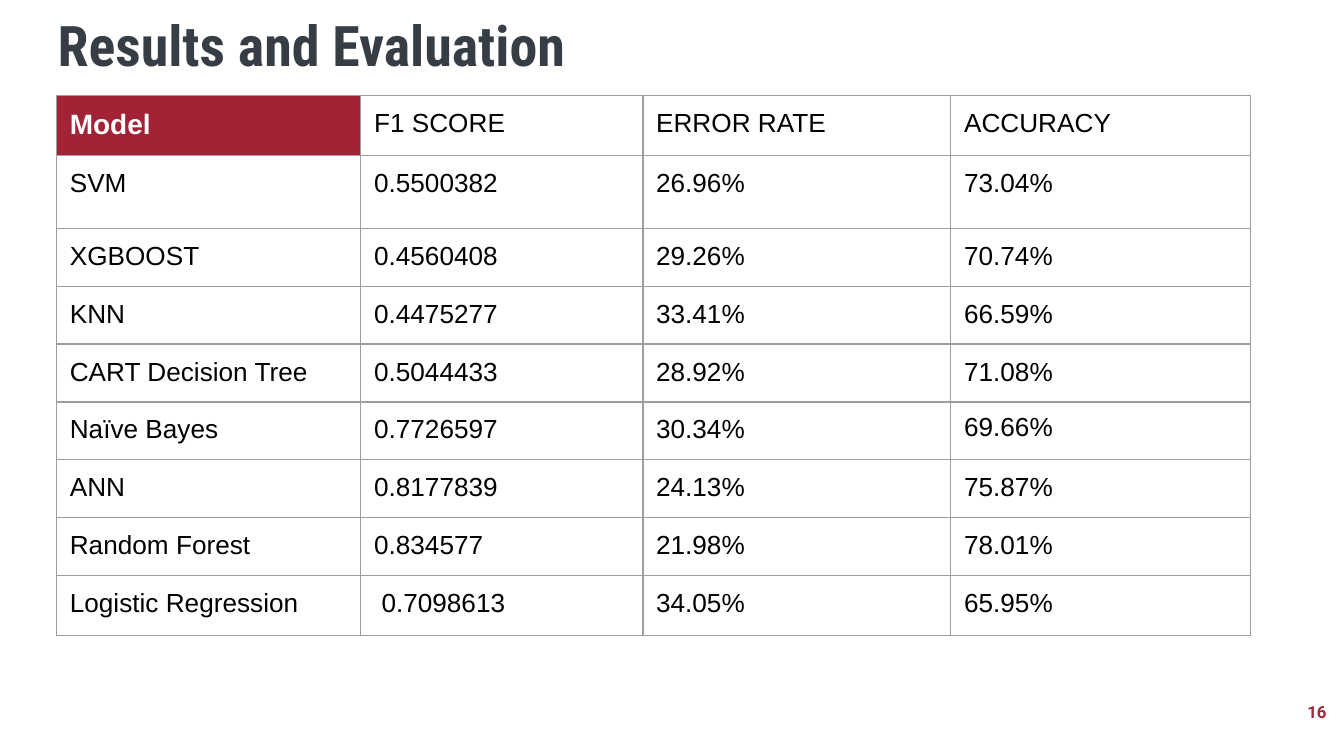
from dataclasses import dataclass

from lxml.etree import SubElement
from pptx import Presentation
from pptx.dml.color import RGBColor
from pptx.enum.text import MSO_ANCHOR, PP_ALIGN
from pptx.oxml.ns import qn
from pptx.util import Cm, Pt

CELL_MARGIN = 0.25
COLUMN_WIDTHS = [5.75, 5.33, 5.82, 5.66]
ROW_HEIGHTS = [1.07, 1.37, *[1.06] * 6, 1.14]
HEADERS = ["Model", "F1 SCORE", "ERROR RATE", "ACCURACY"]


@dataclass
class Style:
    size: float
    color: str
    font: str = "Arial"
    bold: bool = False


@dataclass
class Result:
    model: str
    f1_score: str
    error_rate: str
    accuracy: str


RESULTS = [
    Result("SVM", "0.5500382", "26.96%", "73.04%"),
    Result("XGBOOST", "0.4560408", "29.26%", "70.74%"),
    Result("KNN", "0.4475277", "33.41%", "66.59%"),
    Result("CART Decision Tree", "0.5044433", "28.92%", "71.08%"),
    Result("Naïve Bayes", "0.7726597", "30.34%", "69.66%"),
    Result("ANN", "0.8177839", "24.13%", "75.87%"),
    Result("Random Forest", "0.834577", "21.98%", "78.01%"),
    Result("Logistic Regression", "0.7098613", "34.05%", "65.95%"),
]
BODY = Style(14, "000000")
HEADING = Style(15, "FFFFFF", bold=True)
TITLE = Style(30, "363D45", "Roboto Condensed", True)
PAGE_NUMBER = Style(9, "A32537", "Roboto", True)


def rgb(color: str) -> RGBColor:
    return RGBColor.from_string(color)


def write(text_frame, text: str, style: Style):
    text_frame.text = text
    para = text_frame.paragraphs[0]
    for span in para.runs:
        span.font.name = style.font
        span.font.size = Pt(style.size)
        span.font.bold = style.bold
        span.font.color.rgb = rgb(style.color)
    return para


def add_text(page, left: float, top: float, width: float, height: float,
             text: str, style: Style):
    box = page.shapes.add_textbox(Cm(left), Cm(top), Cm(width), Cm(height))
    frame = box.text_frame
    frame.word_wrap = True
    frame.margin_left = frame.margin_right = Cm(0.18)
    frame.margin_top = frame.margin_bottom = Cm(0.1)
    return frame, write(frame, text, style)


def draw_borders(cell, color: str, width: float) -> None:
    """Put the four border lines ahead of the fill, as the schema requires."""
    properties = cell._tc.get_or_add_tcPr()
    for index, side in enumerate(("lnL", "lnR", "lnT", "lnB")):
        line = SubElement(properties, qn(f"a:{side}"), w=str(Pt(width)))
        fill = SubElement(line, qn("a:solidFill"))
        SubElement(fill, qn("a:srgbClr"), val=color)
        properties.insert(index, line)


def fill_cell(cell, text: str, style: Style, fill: str) -> None:
    cell.margin_left = cell.margin_right = Cm(CELL_MARGIN)
    cell.margin_top = cell.margin_bottom = Cm(CELL_MARGIN)
    cell.fill.solid()
    cell.fill.fore_color.rgb = rgb(fill)
    write(cell.text_frame, text, style)
    draw_borders(cell, "9E9E9E", 0.75)


def add_results_table(page) -> None:
    rows = [HEADERS] + [
        [result.model, result.f1_score, result.error_rate, result.accuracy]
        for result in RESULTS
    ]
    table = page.shapes.add_table(
        len(rows), len(HEADERS), Cm(1.07), Cm(1.81),
        Cm(sum(COLUMN_WIDTHS)), Cm(sum(ROW_HEIGHTS))).table
    for column, width in zip(table.columns, COLUMN_WIDTHS):
        column.width = Cm(width)
    for row, height in zip(table.rows, ROW_HEIGHTS):
        row.height = Cm(height)
    for row_index, texts in enumerate(rows):
        for column_index, text in enumerate(texts):
            is_heading = row_index == column_index == 0
            fill_cell(table.cell(row_index, column_index), text,
                      HEADING if is_heading else BODY,
                      "A22335" if is_heading else "FFFFFF")

    bayes_accuracy = table.cell(5, 3).text_frame.paragraphs[0]
    bayes_accuracy.line_spacing = 0.9
    table.cell(8, 1).margin_left = Cm(CELL_MARGIN + 0.14)


def main() -> None:
    deck = Presentation()
    deck.slide_width, deck.slide_height = Cm(25.4), Cm(14.29)
    page = deck.slides.add_slide(deck.slide_layouts[6])

    frame, para = add_text(page, 19.53, 13.08, 5.72, 0.76, "16", PAGE_NUMBER)
    frame.vertical_anchor = MSO_ANCHOR.MIDDLE
    para.alignment = PP_ALIGN.RIGHT

    add_results_table(page)

    _, para = add_text(page, 0.91, 0.25, 22.3, 1.52,
                       "Results and Evaluation", TITLE)
    para.line_spacing = 0.9
    deck.save("out.pptx")


if __name__ == "__main__":
    main()
